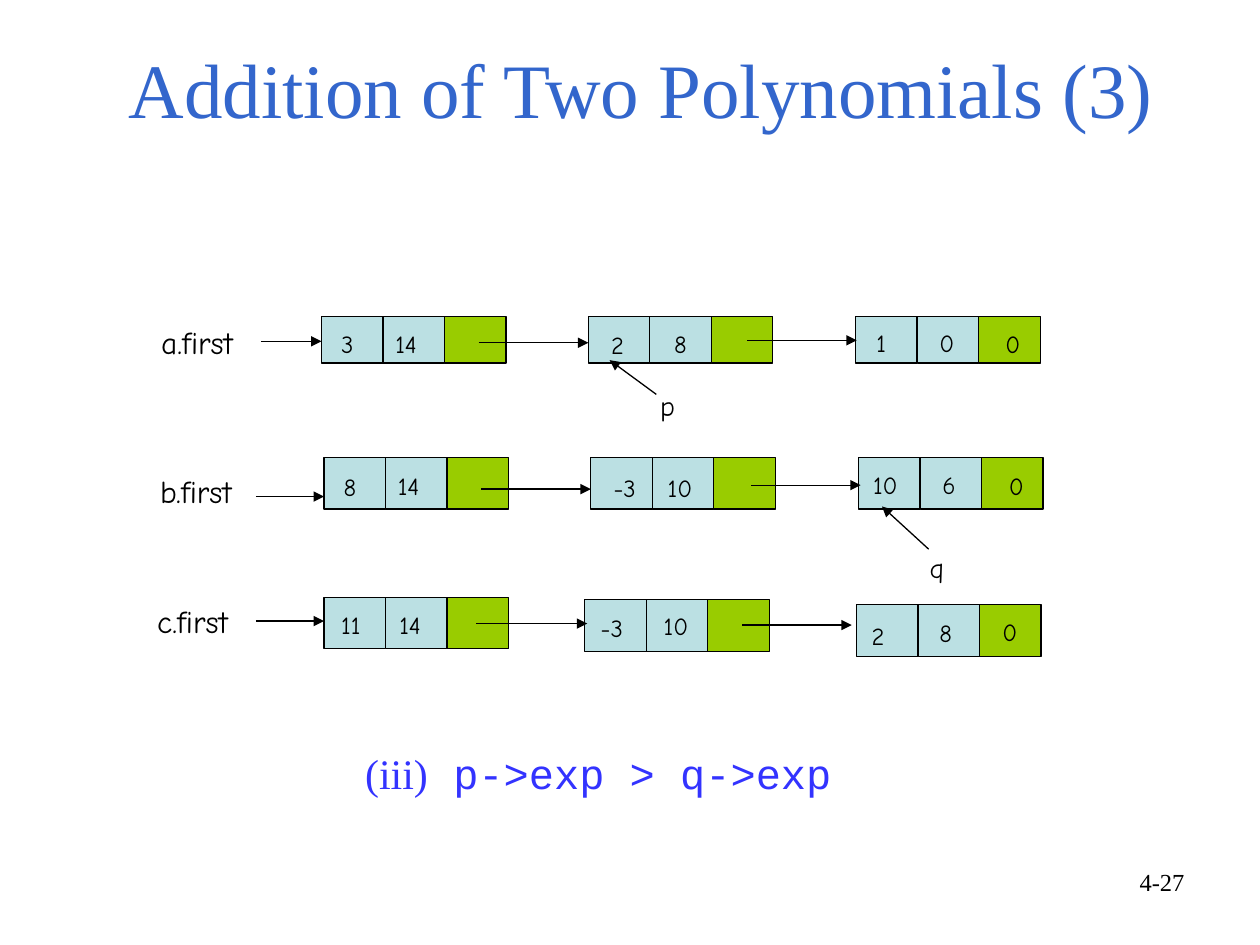
import pptx
import pptx.dml.color
import pptx.enum.shapes
import pptx.enum.text
import pptx.oxml
import pptx.oxml.ns
import pptx.util
from pptx.util import Cm

COLORS = {
    "title": "3366CC",
    "caption": "3333FF",
    "ink": "000000",
    "data": "BBE0E3",
    "link": "99CC00",
}
HAND, SERIF, MONO = "Comic Neue", "Times New Roman", "Courier New"
CELL_WIDTH = 1.24

# All positions are in centimetres.
# Node: left, top, height, values as (text, left, top)
NODES = [
    (6.48, 6.38, 0.94, [("3", 6.63, 6.5), ("14", 7.72, 6.5)]),
    (11.86, 6.38, 0.94, [("2", 12.07, 6.53), ("8", 13.34, 6.5)]),
    (17.25, 6.38, 0.94, [("1", 17.42, 6.48), ("0", 18.69, 6.48), ("0", 20.02, 6.5)]),
    (6.53, 9.22, 1.04, [("8", 6.68, 9.4), ("14", 7.77, 9.37)]),
    (11.91, 9.22, 1.04, [("-3", 12.12, 9.42), ("10", 13.21, 9.42)]),
    (17.31, 9.22, 1.04, [("10", 17.35, 9.35), ("6", 18.75, 9.35), ("0", 20.09, 9.37)]),
    (6.53, 12.04, 1.04, [("11", 6.63, 12.17), ("14", 7.8, 12.17)]),
    (11.79, 12.09, 1.04, [("-3", 11.86, 12.24), ("10", 13.13, 12.19)]),
    (17.27, 12.19, 1.04, [("2", 17.32, 12.4), ("8", 18.69, 12.34), ("0", 19.96, 12.32)]),
]
# Label: text, left, top, width, height, size
LABELS = [
    ("a.first", 3.0, 6.38, 2.85, 1.02, 18),
    ("b.first", 2.98, 9.4, 2.85, 1.02, 18),
    ("c.first", 2.92, 12.02, 2.85, 1.02, 18),
    ("p", 13.06, 7.7, 0.72, 0.94, 16),
    ("q", 18.49, 10.97, 0.72, 0.94, 16),
]
# Horizontal links: start, end, height on the slide
LINKS = [
    (5.26, 6.48, 6.88), (9.65, 11.86, 6.91), (15.06, 17.27, 6.86),
    (5.16, 6.53, 10.01), (9.7, 11.91, 9.86), (15.14, 17.35, 9.78),
    (5.16, 6.53, 12.52), (9.6, 11.84, 12.57), (14.96, 17.17, 12.6),
]
# Pointers p and q: x and y of start, x and y of end
POINTERS = [(13.23, 7.95, 12.29, 7.26), (18.72, 11.07, 17.78, 10.21)]


def rgb(name):
    return pptx.dml.color.RGBColor.from_string(COLORS[name])


def add_run(para, text, font, size, color="ink"):
    run = para.add_run()
    run.text = text
    run.font.name = font
    run.font.size = pptx.util.Pt(size)
    run.font.color.rgb = rgb(color)


def add_text(shapes, left, top, width, height, size, runs, color="ink"):
    """Add a left-aligned box that fits its (text, font) runs."""
    box = shapes.add_textbox(Cm(left), Cm(top), Cm(width), Cm(height))
    frame = box.text_frame
    frame.word_wrap = True
    frame.auto_size = pptx.enum.text.MSO_AUTO_SIZE.SHAPE_TO_FIT_TEXT
    para = frame.paragraphs[0]
    para.space_before = pptx.util.Pt(round(size * 0.625, 1))
    for text, font in runs:
        add_run(para, text, font, size, color)
    return box


def add_node(shapes, left, top, height, values):
    """Add two data cells and a link cell, with their values, as one group."""
    node = shapes.add_group_shape().shapes
    for column, kind in enumerate(("data", "data", "link")):
        cell = node.add_shape(
            pptx.enum.shapes.MSO_SHAPE.RECTANGLE,
            Cm(left + column * CELL_WIDTH), Cm(top), Cm(CELL_WIDTH), Cm(height))
        cell.shadow.inherit = False
        cell.fill.solid()
        cell.fill.fore_color.rgb = rgb(kind)
        cell.line.color.rgb = rgb("ink")
        cell.line.width = pptx.util.Pt(0.75)
    for text, text_left, text_top in values:
        width = 0.72 if len(text) == 1 else 1.18
        add_text(node, text_left, text_top, width, 0.86, 14, [(text, HAND)])


def add_arrow(shapes, x1, y1, x2, y2):
    arrow = shapes.add_connector(
        pptx.enum.shapes.MSO_CONNECTOR.STRAIGHT, Cm(x1), Cm(y1), Cm(x2), Cm(y2))
    arrow.line.color.rgb = rgb("ink")
    arrow.line.width = pptx.util.Pt(0.75)
    line = arrow.line._get_or_add_ln()
    head = pptx.oxml.ns.qn("a:tailEnd")
    line.append(pptx.oxml.parse_xml(
        f'<a:tailEnd {pptx.oxml.ns.nsdecls("a")} type="triangle"/>'
    )) if line.find(head) is None else None
    line.getparent().append(pptx.oxml.parse_xml(
        f'<a:effectLst {pptx.oxml.ns.nsdecls("a")}/>'))


def add_title(slide):
    title = slide.shapes.title
    title.left, title.top, title.width, title.height = Cm(1.9), Cm(0.58), Cm(22.05), Cm(2.24)
    frame = title.text_frame
    frame.auto_size = pptx.enum.text.MSO_AUTO_SIZE.NONE
    frame.vertical_anchor = pptx.enum.text.MSO_ANCHOR.BOTTOM
    para = frame.paragraphs[0]
    para.alignment = pptx.enum.text.PP_ALIGN.CENTER
    add_run(para, "Addition of Two Polynomials (3)", SERIF, 44, "title")


def add_page_number(shapes):
    box = shapes.add_textbox(Cm(18.21), Cm(17.35), Cm(5.92), Cm(1.32))
    box.text_frame.word_wrap = True
    para = box.text_frame.paragraphs[0]
    para.alignment = pptx.enum.text.PP_ALIGN.RIGHT
    add_run(para, "4-27", SERIF, 14)


def main():
    deck = pptx.Presentation()
    deck.slide_width, deck.slide_height = Cm(25.4), Cm(19.05)
    slide = deck.slides.add_slide(deck.slide_layouts.get_by_name("Title Only"))
    shapes = slide.shapes
    add_title(slide)
    for node in NODES:
        add_node(shapes, *node)
    for text, left, top, width, height, size in LABELS:
        add_text(shapes, left, top, width, height, size, [(text, HAND)])
    for start, end, y in LINKS:
        add_arrow(shapes, start, y, end, y)
    for pointer in POINTERS:
        add_arrow(shapes, *pointer)
    add_text(shapes, 7.11, 14.94, 12.19, 1.27, 24,
             [("(iii)", SERIF), (" p->exp > q->exp", MONO)], "caption")
    add_page_number(shapes)
    deck.save("out.pptx")


if __name__ == "__main__":
    main()
